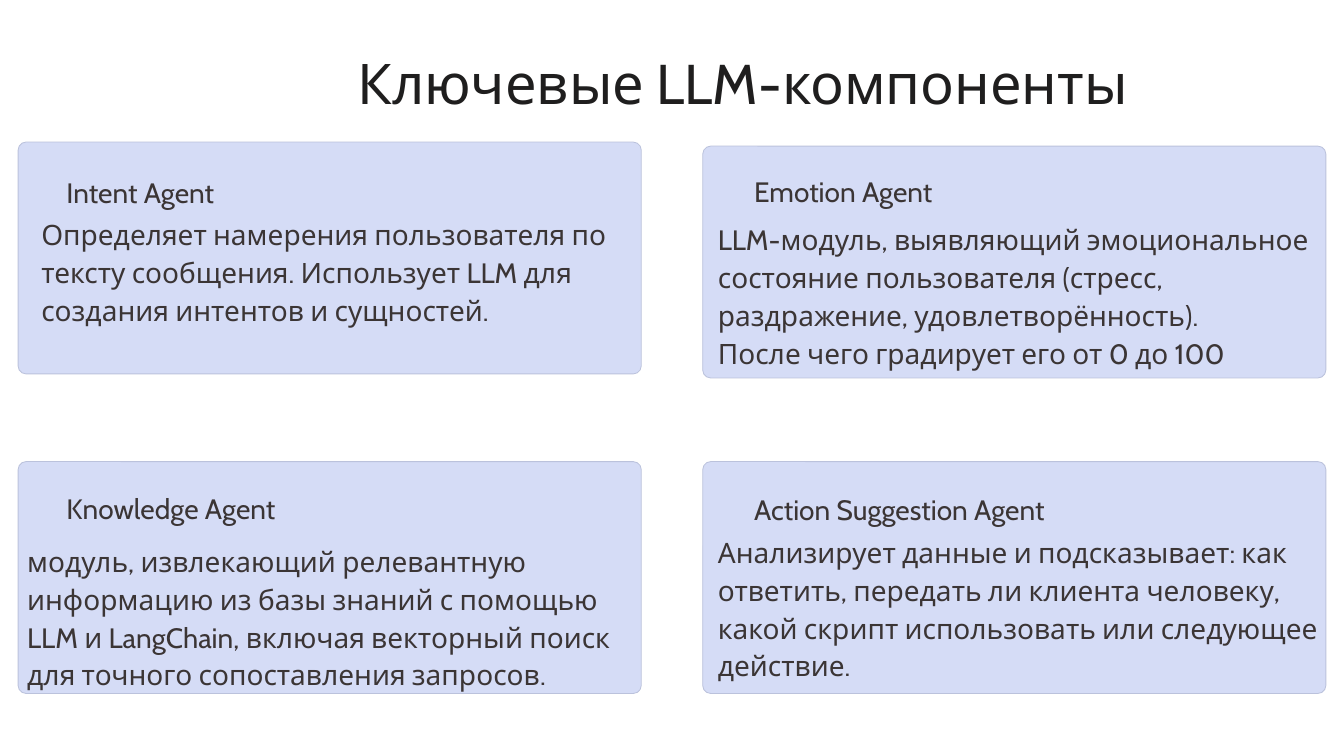
"""Build the slide about the key LLM components."""
from pptx import Presentation
from pptx.dml.color import RGBColor
from pptx.enum.shapes import MSO_SHAPE as Shape
from pptx.util import Inches, Pt

TITLE = "Ключевые LLM-компоненты"
CARD_SIZE = (6.18, 2.3)
AGENTS = [
    {"name": "Intent Agent", "card": (0.18, 1.41),
     "name_at": (0.66, 1.69, 2.73, 0.31), "text_at": (0.41, 2.12, 5.97, 1.5),
     "text": ["Определяет намерения пользователя по тексту сообщения. "
              "Использует LLM для создания интентов и сущностей."]},
    {"name": "Emotion Agent", "card": (6.97, 1.45),
     "name_at": (7.48, 1.68, 2.73, 0.31), "text_at": (7.12, 2.17, 6.04, 1.5),
     "text": ["LLM-модуль, выявляющий эмоциональное состояние пользователя "
              "(стресс, раздражение, удовлетворённость).",
              "После чего градирует его от 0 до 100"]},
    {"name": "Knowledge Agent", "card": (0.18, 4.58),
     "name_at": (0.66, 4.82, 2.73, 0.31), "text_at": (0.27, 5.36, 5.93, 1.5),
     "text": ["модуль, извлекающий релевантную информацию из базы знаний "
              "с помощью LLM и LangChain, включая векторный поиск "
              "для точного сопоставления запросов."]},
    {"name": "Action Suggestion Agent", "card": (6.97, 4.58),
     "name_at": (7.48, 4.83, 3.46, 0.31), "text_at": (7.12, 5.27, 6.19, 1.58),
     "text": ["Анализирует данные и подсказывает: как ответить, передать ли "
              "клиента человеку, какой скрипт использовать или следующее "
              "действие."]},
]


def color(value):
    return RGBColor.from_string(value)


def add_text(page, lines, at, size=20, ink="3B3535", spacing=27, wrap=True):
    frame = page.shapes.add_textbox(*map(Inches, at)).text_frame
    frame.margin_left = frame.margin_right = 0
    frame.margin_top = frame.margin_bottom = 0
    frame.word_wrap = wrap
    for index, line in enumerate(lines):
        para = frame.add_paragraph() if index else frame.paragraphs[0]
        para.line_spacing = Pt(spacing)
        span = para.add_run()
        span.text = line
        span.font.name = "Cabin"
        span.font.size = Pt(size)
        span.font.color.rgb = color(ink)


def add_card(page, corner):
    card = page.shapes.add_shape(Shape.ROUNDED_RECTANGLE,
                                 *map(Inches, corner + CARD_SIZE))
    card.adjustments[0] = 0.034
    card.shadow.inherit = False
    card.fill.solid()
    card.fill.fore_color.rgb = color("D5DCF6")
    card.line.color.rgb = color("BBC2DC")
    card.line.width = Pt(0.6)


def main():
    deck = Presentation()
    deck.slide_width, deck.slide_height = Inches(13.33), Inches(7.5)
    page = deck.slides.add_slide(deck.slide_layouts[6])
    add_text(page, [TITLE], (3.55, 0.37, 8.67, 0.78),
             size=40, ink="1F1E1E", spacing=56, wrap=False)
    for agent in AGENTS:
        add_card(page, agent["card"])
        add_text(page, [agent["name"]], agent["name_at"], spacing=28, wrap=False)
        add_text(page, agent["text"], agent["text_at"])
    deck.save("out.pptx")


if __name__ == "__main__":
    main()
